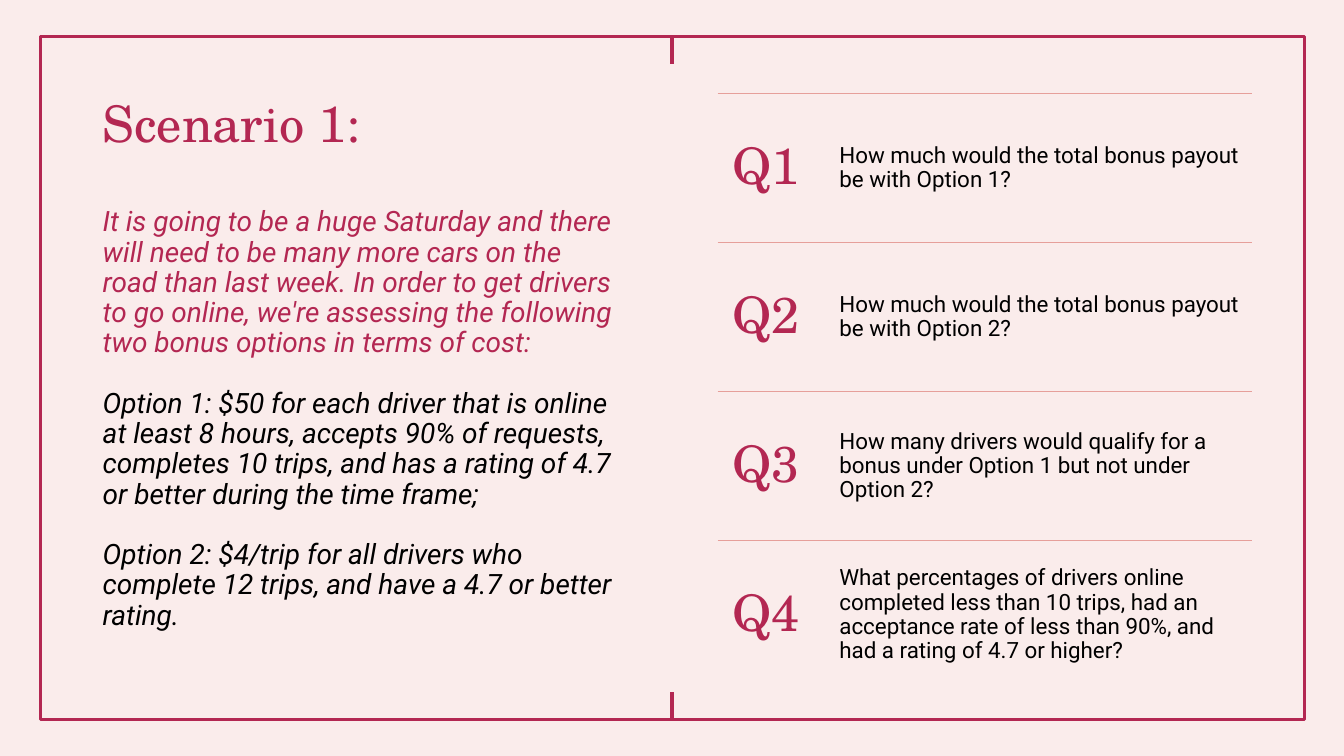
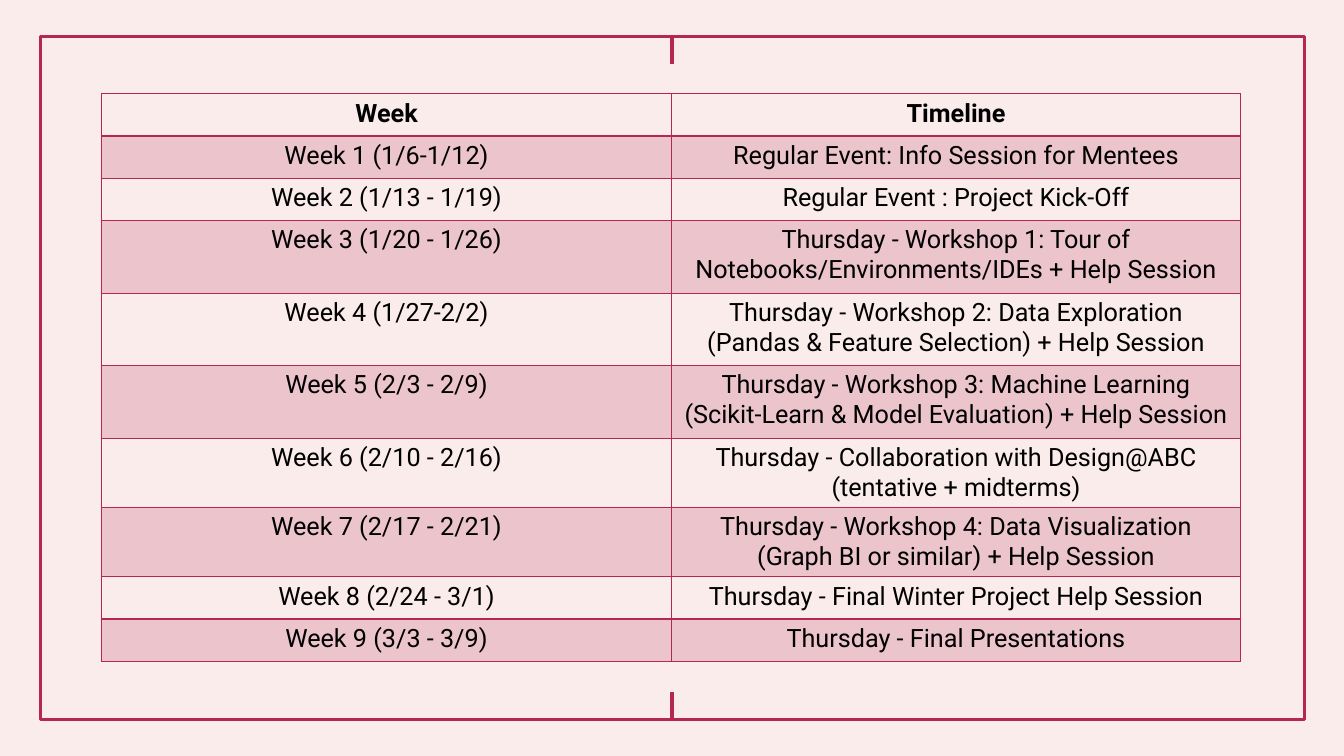
from lxml.etree import SubElement
from pptx import Presentation
from pptx.dml.color import RGBColor
from pptx.enum.shapes import MSO_CONNECTOR, MSO_SHAPE
from pptx.enum.text import MSO_ANCHOR, MSO_AUTO_SIZE, PP_ALIGN
from pptx.oxml.ns import qn
from pptx.util import Pt

CRIMSON = RGBColor(0xB3, 0x27, 0x52)
ROSE = RGBColor(0xE6, 0x9F, 0x9A)
BLUSH = RGBColor(0xFA, 0xEC, 0xEB)
BLACK = RGBColor(0, 0, 0)
SERIF = "TeX Gyre Schola"
SANS = "Roboto"
TITLE_ONLY, BLANK = 5, 6

SCENARIO = [
    ("It is going to be a huge Saturday and there will need to be many more cars on the road "
     "than last week. In order to get drivers to go online, we're assessing the following "
     "two bonus options in terms of cost:", CRIMSON),
    ("Option 1: $50 for each driver that is online at least 8 hours, accepts 90% of requests, "
     "completes 10 trips, and has a rating of 4.7 or better during the time frame;", BLACK),
    ("Option 2: $4/trip for all drivers who complete 12 trips, and have a 4.7 or better "
     "rating.", BLACK),
]
QUESTIONS = [
    "How much would the total bonus payout be with Option 1?",
    "How much would the total bonus payout be with Option 2?",
    "How many drivers would qualify for a bonus under Option 1 but not under Option 2?",
    "What percentages of drivers online completed less than 10 trips, had an acceptance rate "
    "of less than 90%, and had a rating of 4.7 or higher?",
]
# Week, event, row height in points
TIMELINE = [
    ("Week", "Timeline", 30.2),
    ("Week 1 (1/6-1/12)", "Regular Event: Info Session for Mentees", 30.2),
    ("Week 2 (1/13 - 1/19)", "Regular Event : Project Kick-Off", 30.2),
    ("Week 3 (1/20 - 1/26)",
     "Thursday - Workshop 1: Tour of Notebooks/Environments/IDEs + Help Session", 51.8),
    ("Week 4 (1/27-2/2)",
     "Thursday - Workshop 2: Data Exploration (Pandas & Feature Selection) + Help Session", 51.8),
    ("Week 5 (2/3 - 2/9)",
     "Thursday - Workshop 3: Machine Learning (Scikit-Learn & Model Evaluation) + Help Session",
     51.8),
    ("Week 6 (2/10 - 2/16)",
     "Thursday - Collaboration with Design@ABC (tentative + midterms)", 49.5),
    ("Week 7 (2/17 - 2/21)",
     "Thursday - Workshop 4: Data Visualization (Graph BI or similar) + Help Session", 49.5),
    ("Week 8 (2/24 - 3/1)", "Thursday - Final Winter Project Help Session", 30.2),
    ("Week 9 (3/3 - 3/9)", "Thursday - Final Presentations", 30.2),
]


class Deck:
    """Holds the house style and the page being drawn; lengths are in points."""

    def __init__(self):
        self.presentation = Presentation()
        self.presentation.slide_width = Pt(960)
        self.presentation.slide_height = Pt(540)
        self.master = self.presentation.slide_master
        background = self.master.background.fill
        background.solid()
        background.fore_color.rgb = BLUSH
        self.page = None

    def add_page(self, layout):
        first = self.page is None
        self.page = self.presentation.slides.add_slide(
            self.presentation.slide_layouts[layout])
        if first:
            self.add_frame()

    def add_frame(self):
        """Draw the frame with its two centre ticks and move it to the master."""
        left, top, width, height, tick = 28.8, 25.9, 902.8, 488.2, 19.5
        border = self.page.shapes.add_shape(
            MSO_SHAPE.RECTANGLE, Pt(left), Pt(top), Pt(width), Pt(height))
        border.shadow.inherit = False
        border.fill.background()
        border.line.color.rgb = CRIMSON
        border.line.width = Pt(2.25)
        bottom = top + height
        ticks = [self.line(480, start, 480, start + tick, CRIMSON, 2.25)
                 for start in (top, bottom - tick)]
        for number, part in enumerate([border, *ticks]):
            part.element.xpath(".//p:cNvPr")[0].set("id", str(100 + number))
            self.master.shapes.element.insert(2 + number, part.element)

    def line(self, x1, y1, x2, y2, color, weight):
        connector = self.page.shapes.add_connector(
            MSO_CONNECTOR.STRAIGHT, Pt(x1), Pt(y1), Pt(x2), Pt(y2))
        connector.line.color.rgb = color
        connector.line.width = Pt(weight)
        SubElement(connector.element.spPr, qn("a:effectLst"))
        return connector

    def span(self, para, text, font, size, color, bold=False, italic=False):
        run = para.add_run()
        run.text = text
        run.font.name = font
        run.font.size = Pt(size)
        run.font.color.rgb = color
        run.font.bold = bold
        run.font.italic = italic

    def title(self, left, top, width, height, heading, passages):
        """Fill the title with a serif heading followed by italic passages."""
        box = self.page.shapes.title
        box.left, box.top, box.width, box.height = Pt(left), Pt(top), Pt(width), Pt(height)
        frame = box.text_frame
        frame.word_wrap = True
        frame.auto_size = MSO_AUTO_SIZE.NONE
        frame.vertical_anchor = MSO_ANCHOR.TOP
        para = frame.paragraphs[0]
        self.span(para, heading, SERIF, 36, CRIMSON)
        para.space_after = Pt(38.9)
        for text, color in passages:
            para = frame.add_paragraph()
            self.span(para, text, SANS, 20, color, italic=True)
            para.space_after = Pt(21.6)
        for para in frame.paragraphs:
            para.alignment = PP_ALIGN.LEFT
            para.line_spacing = 0.9
            para.space_before = Pt(0)

    def text(self, left, top, width, height, text, font, size, color, inset):
        box = self.page.shapes.add_textbox(Pt(left), Pt(top), Pt(width), Pt(height))
        frame = box.text_frame
        frame.word_wrap = True
        frame.vertical_anchor = MSO_ANCHOR.MIDDLE
        frame.margin_left = frame.margin_right = Pt(inset)
        frame.margin_top = frame.margin_bottom = Pt(inset)
        para = frame.paragraphs[0]
        para.line_spacing = 0.9
        self.span(para, text, font, size, color)

    def questions(self, left, top, width, pitch, questions):
        """Stack ruled rows, each with a number and its question."""
        number_width, text_offset, padding = 76.3, 82, 5
        for index, question in enumerate(questions):
            y = top + index * pitch
            self.line(left, y, left + width, y, ROSE, 1)
            self.text(left, y, number_width, pitch, f"Q{index + 1}", SERIF, 36, CRIMSON, 10.8)
            self.text(left + text_offset, y + padding, width - text_offset,
                      pitch - 2 * padding, question, SANS, 16, BLACK, 5)

    def border_cell(self, cell, weights):
        """Set the left, right, top and bottom border weights, in that order."""
        properties = cell._tc.get_or_add_tcPr()
        for side, weight in zip("LRTB", weights):
            edge = SubElement(properties, qn(f"a:ln{side}"), w=str(Pt(weight)))
            fill = SubElement(edge, qn("a:solidFill"))
            SubElement(fill, qn("a:srgbClr"), val=str(CRIMSON))

    def tint_cell(self, cell):
        cell.fill.solid()
        cell.fill.fore_color.rgb = CRIMSON
        color = cell._tc.tcPr.find(qn("a:solidFill")).find(qn("a:srgbClr"))
        SubElement(color, qn("a:alpha"), val="20000")

    def table(self, left, top, width, rows):
        """Draw text rows, each ending with its height, under a bold header."""
        columns = len(rows[0]) - 1
        height = sum(row[-1] for row in rows)
        table = self.page.shapes.add_table(
            len(rows), columns, Pt(left), Pt(top), Pt(width), Pt(height)).table
        table.first_row = table.horz_banding = False
        for column in table.columns:
            column.width = Pt(width / columns)
        for index, (*texts, row_height) in enumerate(rows):
            table.rows[index].height = Pt(row_height)
            for cell, text in zip(table.rows[index].cells, texts):
                self.border_cell(cell, (1, 1, 2 if index == 1 else 1, 2 if index == 0 else 1))
                if index % 2:
                    self.tint_cell(cell)
                else:
                    cell.fill.background()
                para = cell.text_frame.paragraphs[0]
                para.alignment = PP_ALIGN.CENTER
                self.span(para, text, SANS, 18, BLACK, bold=index == 0)

    def save(self):
        self.presentation.save("out.pptx")


def main():
    deck = Deck()
    deck.add_page(TITLE_ONLY)
    deck.title(66.2, 67, 381.6, 408.2, "Scenario 1:", SCENARIO)
    deck.questions(512.6, 67, 381.6, 106.35, QUESTIONS)
    deck.add_page(BLANK)
    deck.table(72.7, 67, 813.6, TIMELINE)
    deck.save()


if __name__ == "__main__":
    main()
